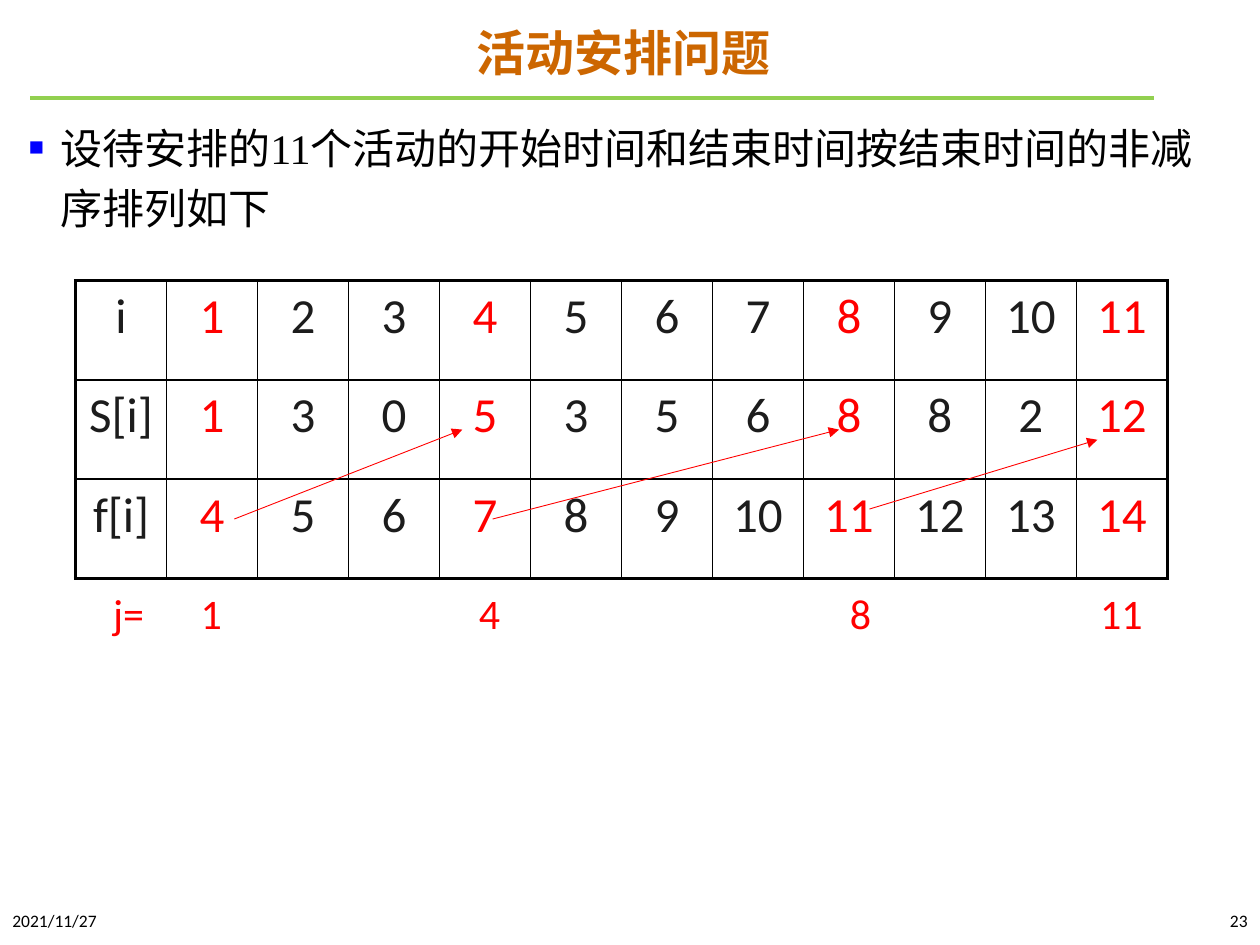
import pptx
import pptx.dml.color
import pptx.enum.shapes
import pptx.enum.text
import pptx.oxml
import pptx.oxml.ns
import pptx.util
from lxml import etree

Pt = pptx.util.Pt
ALIGN = pptx.enum.text.PP_ALIGN
ANCHOR = pptx.enum.text.MSO_ANCHOR
COLORS = {
    "title": "CC6600",
    "rule": "92D050",
    "bullet": "0000FF",
    "black": "000000",
    "cell": "1C1C1C",
    "chosen": "FF0000",
}
CJK_FONT = "Noto Sans CJK SC"


def rgb(name):
    return pptx.dml.color.RGBColor.from_string(COLORS[name])


def add_element(parent, tag, **attributes):
    element = etree.SubElement(parent, pptx.oxml.ns.qn(tag))
    for key, value in attributes.items():
        element.set(key, str(value))
    return element


def write_text(frame, text, size=24, font="Calibri", color="black", bold=False,
               align=ALIGN.LEFT, spacing=None, bullet=None, tabs=()):
    """Write one formatted paragraph into a text frame."""
    paragraph = frame.paragraphs[0]
    paragraph.alignment = align
    if spacing:
        paragraph.line_spacing = spacing
    properties = paragraph._p.get_or_add_pPr()
    if bullet:
        properties.set("marL", str(Pt(18)))
        properties.set("indent", str(-Pt(18)))
        bullet_color = add_element(properties, "a:buClr")
        add_element(bullet_color, "a:srgbClr", val=COLORS["bullet"])
        add_element(properties, "a:buSzPct", val=60000)
        add_element(properties, "a:buFont", typeface="Arial")
        add_element(properties, "a:buChar", char=bullet)
    if tabs:
        tab_list = add_element(properties, "a:tabLst")
        for position in tabs:
            add_element(tab_list, "a:tab", pos=Pt(position), algn="l")
    run = paragraph.add_run()
    run.text = text
    run.font.name = font
    run.font.size = Pt(size)
    run.font.bold = bold
    run.font.color.rgb = rgb(color)
    add_element(run._r.get_or_add_rPr(), "a:ea", typeface=CJK_FONT)


class SlideBuilder:
    thin, thick = 1, 2.25

    def __init__(self, presentation):
        self.slide = presentation.slides.add_slide(presentation.slide_layouts[5])

    def title(self, text, left, top, width, height):
        shape = self.slide.shapes.title
        shape.left, shape.top = Pt(left), Pt(top)
        shape.width, shape.height = Pt(width), Pt(height)
        shape.text_frame.vertical_anchor = ANCHOR.MIDDLE
        write_text(shape.text_frame, text, size=28, font=CJK_FONT, color="title",
                   bold=True, align=ALIGN.CENTER, spacing=0.9)

    def text(self, text, left, top, width, height, anchor=ANCHOR.TOP, **style):
        shape = self.slide.shapes.add_textbox(Pt(left), Pt(top), Pt(width), Pt(height))
        shape.text_frame.word_wrap = True
        shape.text_frame.vertical_anchor = anchor
        write_text(shape.text_frame, text, **style)

    def line(self, start, end, color, width, arrow=False):
        connector = self.slide.shapes.add_connector(
            pptx.enum.shapes.MSO_CONNECTOR.STRAIGHT,
            *(Pt(value) for value in (*start, *end)))
        connector.line.color.rgb = rgb(color)
        connector.line.width = Pt(width)
        if arrow:
            add_element(connector.line._get_or_add_ln(), "a:tailEnd", type="triangle")
        add_element(connector._element.spPr, "a:effectLst")

    def border(self, cell, tag, width):
        line = add_element(cell._tc.get_or_add_tcPr(), tag, w=Pt(width))
        fill = add_element(line, "a:solidFill")
        add_element(fill, "a:srgbClr", val=COLORS["black"])

    def table(self, rows, chosen, left, top, column_width, row_height):
        row_count, column_count = len(rows), len(rows[0])
        table = self.slide.shapes.add_table(
            row_count, column_count, Pt(left), Pt(top),
            Pt(column_width * column_count), Pt(row_height * row_count)).table
        table.first_row = table.horz_banding = False
        for column in table.columns:
            column.width = Pt(column_width)
        for r, values in enumerate(rows):
            table.rows[r].height = Pt(row_height)
            for c, value in enumerate(values):
                cell = table.cell(r, c)
                write_text(cell.text_frame, str(value), size=28, align=ALIGN.CENTER,
                           color="chosen" if c in chosen else "cell")
                # Thick frame outside, thin grid inside
                outer_edges = {
                    "a:lnL": c == 0,
                    "a:lnR": c == column_count - 1,
                    "a:lnT": r == 0,
                    "a:lnB": r == row_count - 1,
                }
                for tag, outer in outer_edges.items():
                    self.border(cell, tag, self.thick if outer else self.thin)
                cell.fill.background()


def main():
    presentation = pptx.Presentation()
    presentation.slide_width, presentation.slide_height = Pt(720), Pt(540)
    builder = SlideBuilder(presentation)

    # Heading
    builder.line((17.3, 56.2), (659.5, 56.2), "rule", 2.25)
    builder.title("活动安排问题", 46, 7.2, 620.6, 49)
    builder.text("设待安排的11个活动的开始时间和结束时间按结束时间的非减序排列如下",
                 9.4, 60.5, 700.6, 454, font="Times New Roman", spacing=1.2, bullet="■")

    # Footer
    footer = {"top": 514, "width": 162, "height": 24.5, "anchor": ANCHOR.MIDDLE, "size": 10}
    builder.text("2021/11/27", left=0, **footer)
    builder.text("23", left=558, align=ALIGN.RIGHT, **footer)

    # Activities, with the selected ones highlighted
    rows = [
        ["i", *range(1, 12)],
        ["S[i]", 1, 3, 0, 5, 3, 5, 6, 8, 8, 2, 12],
        ["f[i]", 4, 5, 6, 7, 8, 9, 10, 11, 12, 13, 14],
    ]
    chosen = (1, 4, 8, 11)
    builder.table(rows, chosen, 43.2, 160.4, 52, 56.7)

    # From each finish time to the next compatible start time
    arrows = [
        ((133.9, 296.6), (264.2, 245.5)),
        ((281.5, 296.6), (479.5, 245.5)),
        ((496.8, 290.9), (627.1, 251.3)),
    ]
    for start, end in arrows:
        builder.line(start, end, "chosen", 0.5, arrow=True)

    # Selected indices
    builder.text("\t".join(["j=", *map(str, chosen)]), 57.6, 332, 609, 36,
                 color="chosen", tabs=(50, 209, 421, 564))

    presentation.save("out.pptx")


if __name__ == "__main__":
    main()
